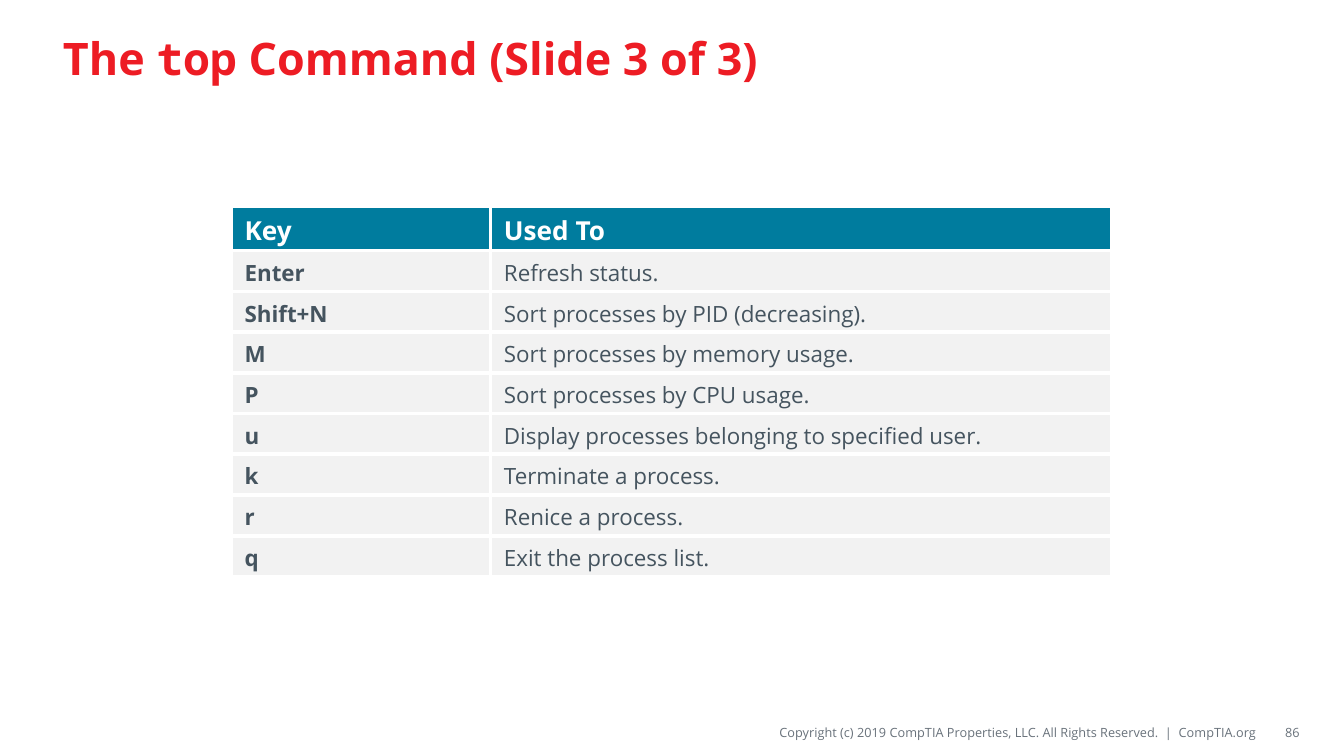
from lxml import etree
from pptx import Presentation
from pptx import util as u
from pptx.dml import color
from pptx.enum import text
from pptx.oxml import ns

COLORS = {
    "title": "ED1C24",
    "footer": "69727B",
    "header": "007C9E",
    "row": "F2F2F2",
    "body": "45545F",
    "white": "FFFFFF",
}
SANS = "Open Sans"
MONO = "Noto Sans Mono"
KEYS = [
    ("Key", "Used To"),
    ("Enter", "Refresh status."),
    ("Shift+N", "Sort processes by PID (decreasing)."),
    ("M", "Sort processes by memory usage."),
    ("P", "Sort processes by CPU usage."),
    ("u", "Display processes belonging to specified user."),
    ("k", "Terminate a process."),
    ("r", "Renice a process."),
    ("q", "Exit the process list."),
]


def rgb(name):
    return color.RGBColor.from_string(COLORS[name])


def add_run(paragraph, wording, size, tint, bold=False, face=SANS):
    run = paragraph.add_run()
    run.text = wording
    run.font.size = u.Pt(size)
    run.font.name = face
    run.font.bold = bold
    run.font.color.rgb = rgb(tint)


def add_label(slide, box, insets, align=text.PP_ALIGN.LEFT):
    frame = slide.shapes.add_textbox(*map(u.Pt, box)).text_frame
    frame.word_wrap = True
    frame.vertical_anchor = text.MSO_ANCHOR.MIDDLE
    frame.margin_left, frame.margin_top, frame.margin_right, frame.margin_bottom = map(u.Pt, insets)
    paragraph = frame.paragraphs[0]
    paragraph.alignment = align
    return paragraph


def add_borders(cell, width, tint):
    properties = cell._tc.get_or_add_tcPr()
    for side in ("a:lnL", "a:lnR", "a:lnT", "a:lnB"):
        border = etree.SubElement(properties, ns.qn(side), w=str(u.Pt(width)))
        fill = etree.SubElement(border, ns.qn("a:solidFill"))
        etree.SubElement(fill, ns.qn("a:srgbClr"), val=COLORS[tint])


def fill_cell(cell, wording, size, tint, bold, background):
    add_borders(cell, 2.25, "white")
    cell.fill.solid()
    cell.fill.fore_color.rgb = rgb(background)
    cell.vertical_anchor = text.MSO_ANCHOR.MIDDLE
    add_run(cell.text_frame.paragraphs[0], wording, size, tint, bold)


def add_key_table(slide, left, top, widths, row_height):
    frame = slide.shapes.add_table(
        len(KEYS), len(widths), u.Pt(left), u.Pt(top),
        u.Pt(sum(widths)), u.Pt(row_height * len(KEYS)))
    table = frame.table
    for column, width in zip(table.columns, widths):
        column.width = u.Pt(width)
    for i, entry in enumerate(KEYS):
        table.rows[i].height = u.Pt(row_height)
        for j, wording in enumerate(entry):
            if i == 0:
                fill_cell(table.cell(i, j), wording, 14, "white", True, "header")
            else:
                fill_cell(table.cell(i, j), wording, 12, "body", j == 0, "row")


def main():
    deck = Presentation()
    deck.slide_width, deck.slide_height = u.Pt(720), u.Pt(405)
    slide = deck.slides.add_slide(deck.slide_layouts[6])

    copyright_line = add_label(slide, (279.4, 384.5, 393.8, 15.8), (0, 2.9, 0, 2.9), text.PP_ALIGN.RIGHT)
    add_run(copyright_line,
            "Copyright (c) 2019 CompTIA Properties, LLC. All Rights Reserved.  |  CompTIA.org",
            6.8, "footer")

    title = add_label(slide, (26.6, 5.8, 666, 49.7), (7.2, 3.6, 7.2, 3.6))
    for wording, face in (("The ", SANS), ("top", MONO), (" Command (Slide 3 of 3)", SANS)):
        add_run(title, wording, 24, "title", True, face)

    page_number = add_label(slide, (675.4, 384.5, 20.9, 15.8), (7.2, 3.6, 0, 3.6), text.PP_ALIGN.RIGHT)
    add_run(page_number, "86", 6.8, "footer")

    add_key_table(slide, 123.8, 110.2, (139, 332.6), 21.84)
    deck.save("out.pptx")


if __name__ == "__main__":
    main()
